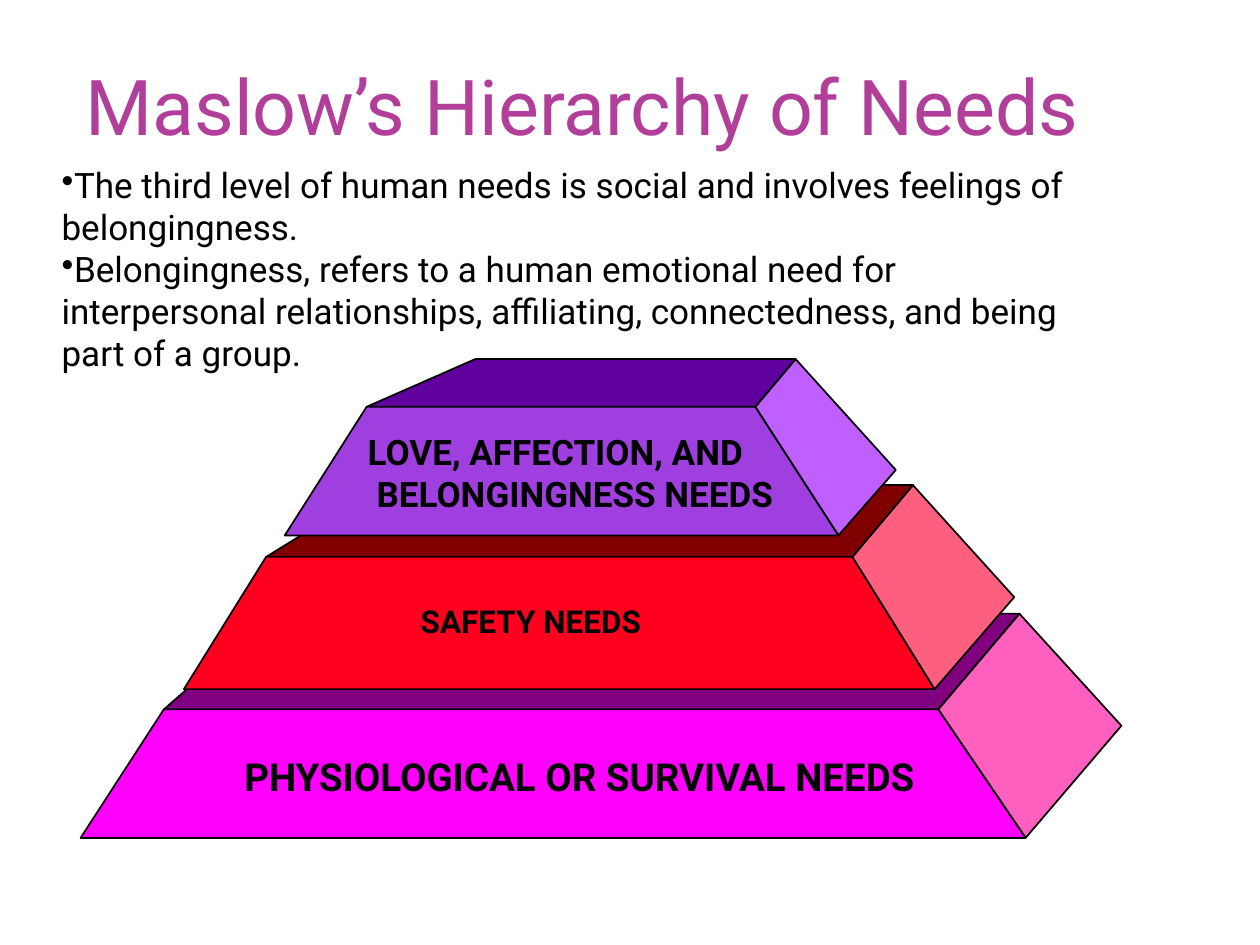
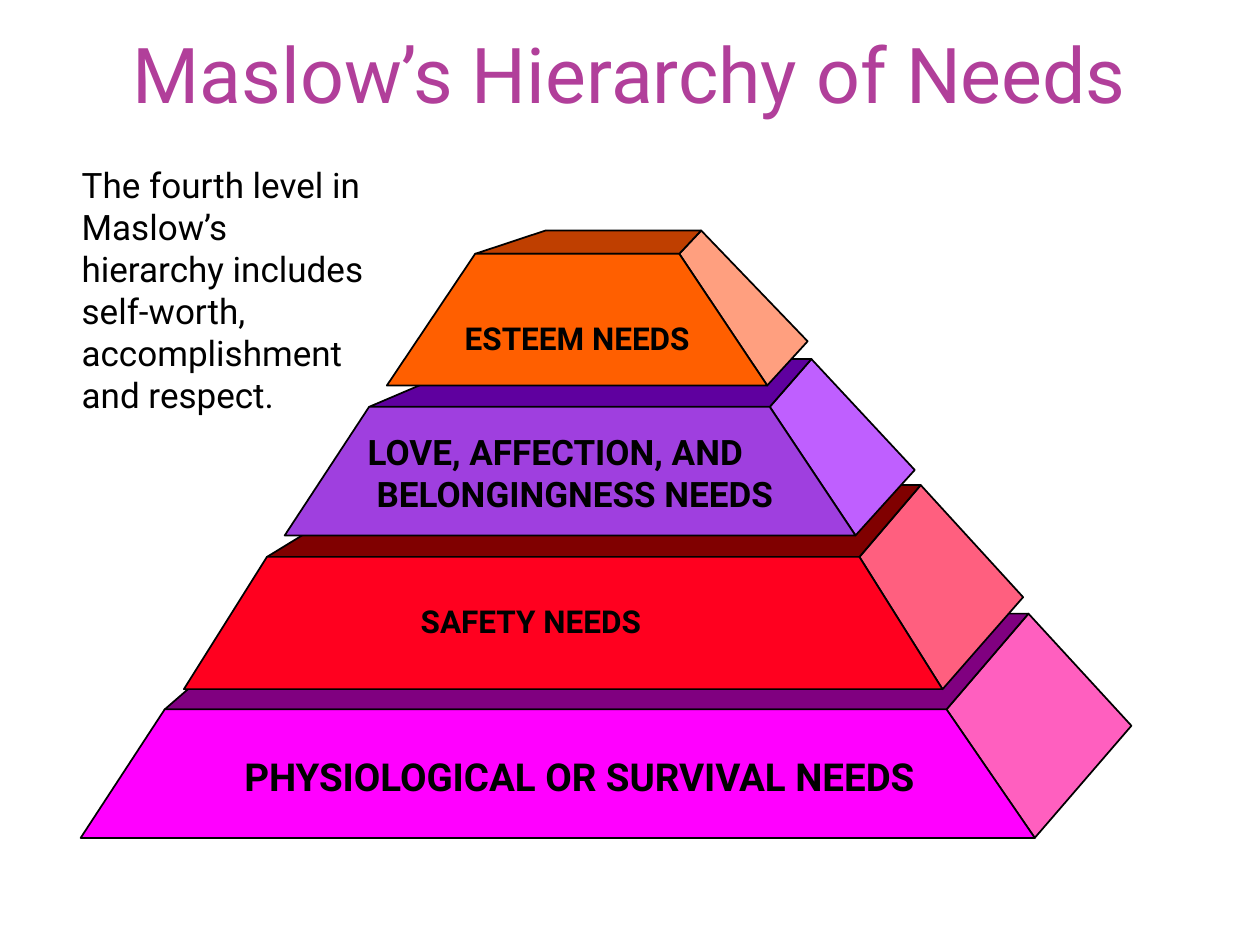
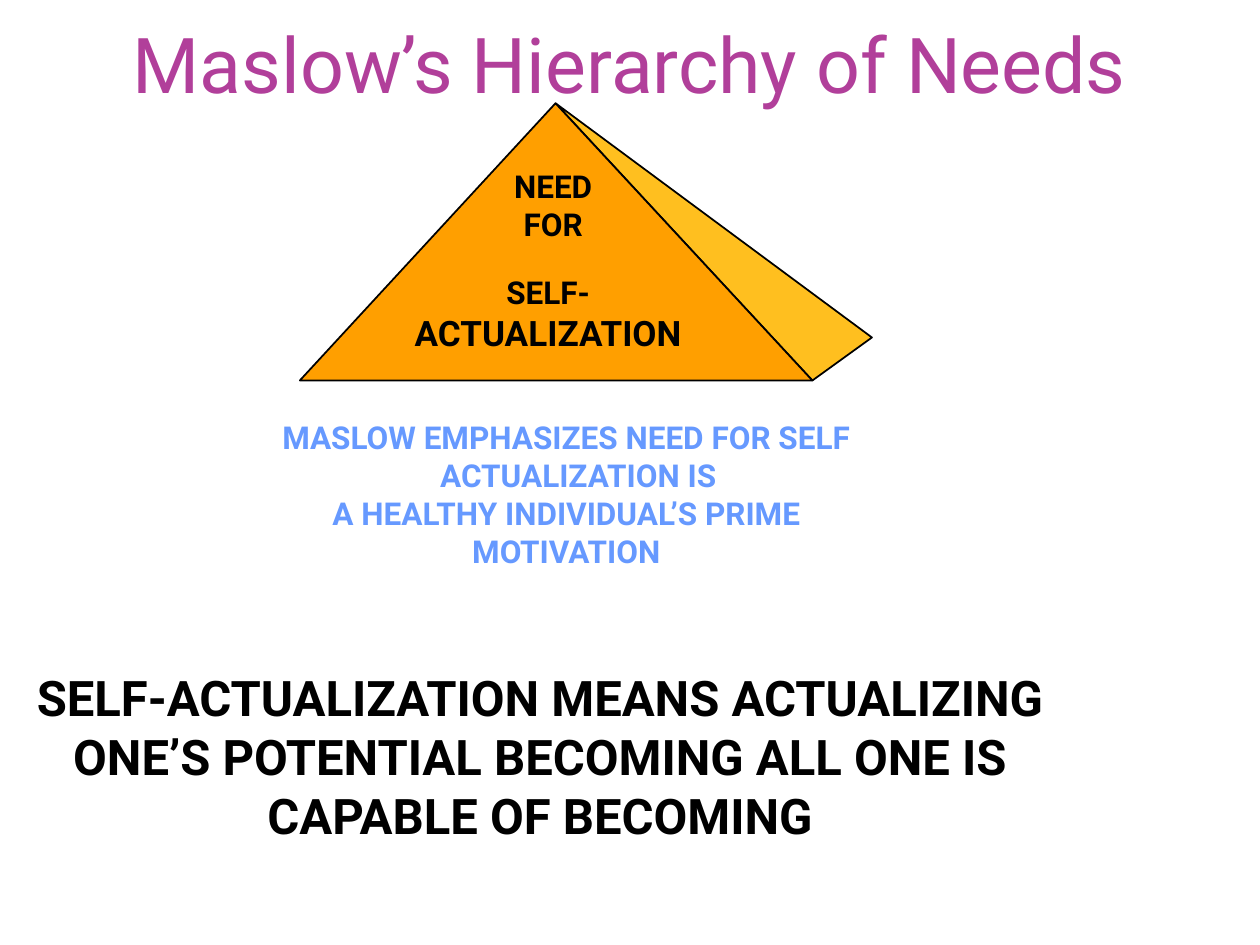
from collections import namedtuple
from dataclasses import dataclass

from lxml import etree
from pptx import Presentation
from pptx.dml.color import RGBColor
from pptx.enum.text import MSO_ANCHOR, MSO_AUTO_SIZE, PP_ALIGN
from pptx.oxml.ns import qn
from pptx.util import Inches, Pt

LEFT, CENTER = PP_ALIGN.LEFT, PP_ALIGN.CENTER
TOP, MIDDLE = MSO_ANCHOR.TOP, MSO_ANCHOR.MIDDLE
GROW, FIXED = MSO_AUTO_SIZE.SHAPE_TO_FIT_TEXT, MSO_AUTO_SIZE.NONE

COLUMNS, ROWS = 100, 75
WIDTH, HEIGHT = Inches(10), Inches(7.5)

Box = namedtuple("Box", "left top width height")
Line = namedtuple("Line", "text size left_indent right_indent", defaults=(None, 0, 0))
Tier = namedtuple("Tier", "box colours profile label_box label_size label")


@dataclass(frozen=True)
class Theme:
    """Fonts, colours and type sizes shared by the slides."""
    font: str = "Roboto"
    title: str = "B13F9A"
    ink: str = "000000"
    accent: str = "6699FF"
    title_size: int = 44
    statement_size: int = 28
    base_size: int = 22
    body_size: int = 20
    label_size: int = 18
    outline: float = 1


THEME = Theme()
TITLE = "Maslow’s Hierarchy of Needs"

# colours run side, top, front; profiles are percentages of the tier's box
PROFILE = namedtuple(
    "Profile", "front_left front_right base_right back_left back_right edge corner")

PHYSIOLOGICAL = Tier(
    Box(6.4, 48.7, 83.4, 17.8), ("FF5FBF", "800080", "FF00FF"),
    PROFILE(8, 82.4, 90.8, 18.5, 90.2, 42.7, 50),
    Box(18.4, 59.3, 61.1, 4.6), THEME.base_size,
    [Line("PHYSIOLOGICAL OR SURVIVAL NEEDS")])
SAFETY = Tier(
    Box(14.6, 38.5, 66.6, 16.2), ("FF5F7F", "800000", "FF001F"),
    PROFILE(9.9, 80.5, 90.4, 23.9, 87.8, 35.2, 54.9),
    Box(32.4, 47.3, 27.1, 5), THEME.label_size, [Line("SAFETY NEEDS")])
BELONGING = Tier(
    Box(22.6, 28.5, 50, 14), ("BF5FFF", "5F009F", "9F3FDF"),
    PROFILE(13.4, 77, 90.6, 31.2, 83.6, 27.1, 62.9),
    Box(28.2, 33.7, 36.8, 7.6), THEME.body_size,
    [Line("LOVE, AFFECTION, AND"), Line("BELONGINGNESS NEEDS", left_indent=0.07)])
ESTEEM = Tier(
    Box(30.7, 18.3, 33.4, 12.3), ("FF9F7F", "BF3F00", "FF5F00"),
    PROFILE(21, 69.5, 90.4, 37.7, 74.7, 15, 71.5),
    Box(35.9, 24.8, 21.4, 4), THEME.label_size, [Line("ESTEEM NEEDS")])


def to_slide(box):
    """Turn a box in grid columns and rows into slide lengths."""
    column, row = WIDTH / COLUMNS, HEIGHT / ROWS
    return Box(*(round(count * unit) for count, unit in zip(box, (column, row) * 2)))


def add_bullet(paragraph):
    """Put a bullet directly before the paragraph's text."""
    etree.SubElement(paragraph._p.get_or_add_pPr(), qn("a:buChar")).set("char", "•")


def add_text(slide, box, lines, size, color=THEME.ink, bold=True, align=LEFT,
             wrap=True, anchor=TOP, fit=GROW, bullets=False):
    """Write lines of text into a grid box."""
    frame = slide.shapes.add_textbox(*to_slide(box)).text_frame
    settings = {"word_wrap": wrap, "auto_size": fit, "vertical_anchor": anchor}
    for name, value in settings.items():
        setattr(frame, name, value)
    for index, line in enumerate(lines):
        paragraph = frame.add_paragraph() if index else frame.paragraphs[0]
        paragraph.alignment = align
        for side, indent in (("marL", line.left_indent), ("marR", line.right_indent)):
            if indent:
                paragraph._p.get_or_add_pPr().set(side, str(Inches(indent)))
        if bullets:
            add_bullet(paragraph)
        run = paragraph.add_run()
        run.text = line.text
        style = {"name": THEME.font, "size": Pt(line.size or size), "bold": bold}
        for name, value in style.items():
            setattr(run.font, name, value)
        run.font.color.rgb = RGBColor.from_string(color)


def add_title(slide, left, top, align=CENTER):
    """Write the shared title at a grid position."""
    add_text(slide, Box(left, top, 85, 10), [Line(TITLE)], THEME.title_size,
             THEME.title, bold=False, align=align, anchor=MIDDLE, fit=FIXED)


def add_solid(slide, box, faces):
    """Draw grouped faces whose corners are percentages of a grid box."""
    area = to_slide(box)
    solid = slide.shapes.add_group_shape()
    for color, corners in faces:
        start, *others = [(round(area.left + area.width * x / 100),
                           round(area.top + area.height * y / 100)) for x, y in corners]
        outline = solid.shapes.build_freeform(*start)
        outline.add_line_segments(others, close=True)
        face = outline.convert_to_shape()
        face.shadow.inherit = False
        face.fill.solid()
        face.fill.fore_color.rgb = RGBColor.from_string(color)
        face.line.color.rgb = RGBColor.from_string(THEME.ink)
        face.line.width = Pt(THEME.outline)


def add_tier(slide, tier, width):
    """Draw one truncated tier of the pyramid at the given width."""
    p = tier.profile
    front_left, front_right = (p.front_left, p.edge), (p.front_right, p.edge)
    base_right, back_right = (p.base_right, 100), (p.back_right, 0)
    outlines = (
        [base_right, front_right, back_right, (100, p.corner)],
        [front_left, front_right, back_right, (p.back_left, 0)],
        [front_left, front_right, base_right, (0, 100)],
    )
    add_solid(slide, tier.box._replace(width=width), zip(tier.colours, outlines))


def add_pyramid(slide, tiers, widths):
    """Stack the tiers from the base up, then label them."""
    for tier, width in zip(tiers, widths):
        add_tier(slide, tier, width)
    for tier in tiers:
        add_text(slide, tier.label_box, tier.label, tier.label_size, wrap=False)


def add_peak(slide, box):
    """Draw the peak of the pyramid in a grid box."""
    apex, base_right = (44.7, 0), (89.6, 100)
    add_solid(slide, box, [
        ("FFBF1F", [base_right, (100, 84.5), apex]),
        ("FF9F00", [(0, 100), base_right, apex]),
    ])


def build_belonging(slide):
    """Build the slide on the third level."""
    add_title(slide, 5.8, 3.3, LEFT)
    add_pyramid(slide, (PHYSIOLOGICAL, SAFETY, BELONGING), (82.6, 65.9, 48.5))
    add_text(slide, Box(3.9, 12.5, 82.8, 17.8), [
        Line("The third level of human needs is social and involves feelings of "
             "belongingness."),
        Line("Belongingness, refers to a human emotional need for interpersonal "
             "relationships, affiliating, connectedness, and being part of a group."),
    ], THEME.body_size, bold=False, bullets=True)


def build_esteem(slide):
    """Build the slide on the fourth level."""
    tiers = (PHYSIOLOGICAL, SAFETY, BELONGING, ESTEEM)
    add_title(slide, 7.5, 0.8)
    add_pyramid(slide, tiers, [tier.box.width for tier in tiers])
    add_text(slide, Box(5.5, 12.5, 25, 21.2), [
        Line("The fourth level in Maslow’s hierarchy includes self-worth, "
             "accomplishment and respect."),
    ], THEME.body_size, bold=False)


def build_actualization(slide):
    """Build the slide on the peak of the hierarchy."""
    add_title(slide, 7.5, 0)
    add_peak(slide, Box(23.8, 8.2, 45.4, 22))
    add_text(slide, Box(30.6, 21.2, 25.8, 8.3),
             [Line("SELF-"), Line("ACTUALIZATION", THEME.body_size)],
             THEME.label_size, align=CENTER, wrap=False)
    add_text(slide, Box(38.3, 12.8, 11.2, 9), [Line("NEED"), Line("FOR")],
             THEME.label_size, align=CENTER, wrap=False)
    add_text(slide, Box(10.8, 32.7, 68.3, 16.9), [
        Line("MASLOW EMPHASIZES NEED FOR SELF"),
        Line("ACTUALIZATION IS", left_indent=0.19),
        Line("A HEALTHY INDIVIDUAL’S PRIME"),
        Line("MOTIVATION"),
    ], THEME.label_size, THEME.accent, align=CENTER)
    add_text(slide, Box(0, 52.5, 86.7, 19.7), [
        Line("SELF-ACTUALIZATION MEANS ACTUALIZING", right_indent=0.1),
        Line("ONE’S POTENTIAL BECOMING ALL ONE IS"),
        Line("CAPABLE OF BECOMING"),
    ], THEME.statement_size, align=CENTER)


def main():
    """Build the three slides and save them."""
    deck = Presentation()
    deck.slide_width, deck.slide_height = WIDTH, HEIGHT
    blank = deck.slide_layouts[6]
    for build in (build_belonging, build_esteem, build_actualization):
        build(deck.slides.add_slide(blank))
    deck.save("out.pptx")


if __name__ == "__main__":
    main()
